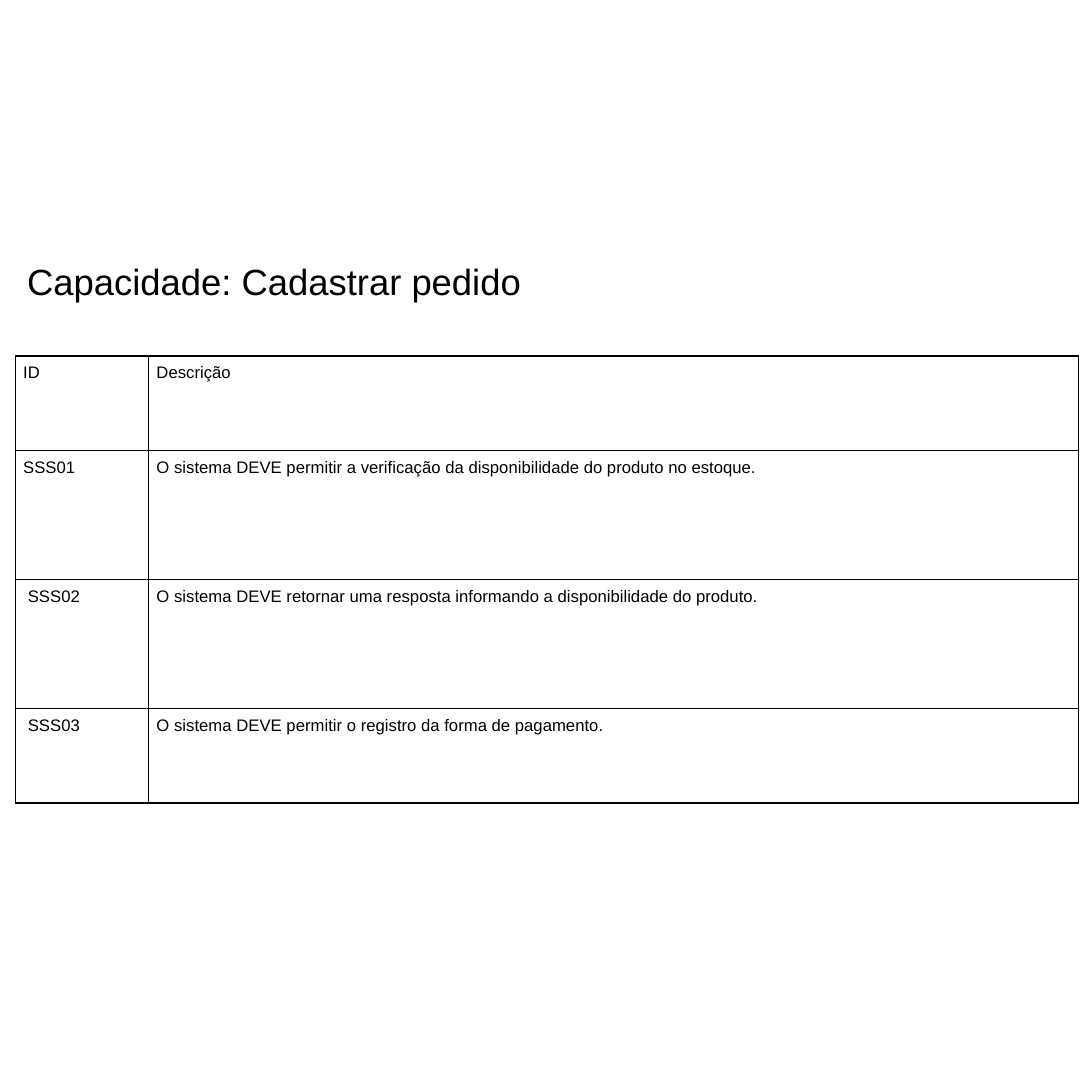
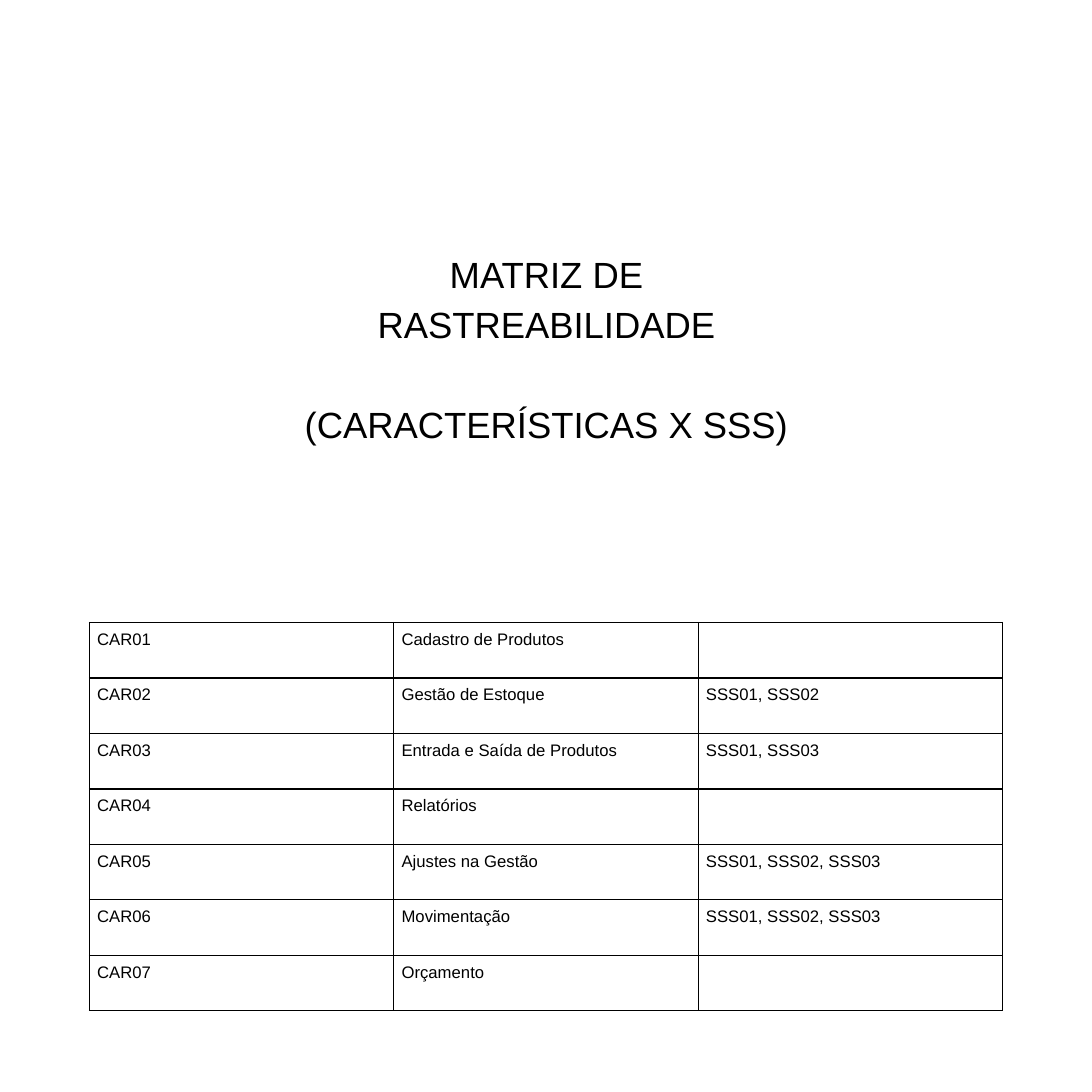
from lxml.etree import SubElement
from pptx import Presentation
from pptx.dml.color import RGBColor
from pptx.enum.text import MSO_ANCHOR, MSO_AUTO_SIZE, PP_ALIGN
from pptx.oxml.ns import qn
from pptx.util import Cm, Pt

COLORS = {"text": "000000", "border": "000000"}
FONT = "Arial"
TITLE_SIZE, CELL_SIZE = 24, 11
TITLE_INSET, CELL_INSET = 0.25, 0.18  # cm

REQUIREMENTS = [
    ("ID", "Descrição"),
    ("SSS01", "O sistema DEVE permitir a verificação da disponibilidade do produto no estoque."),
    (" SSS02", "O sistema DEVE retornar uma resposta informando a disponibilidade do produto."),
    (" SSS03", "O sistema DEVE permitir o registro da forma de pagamento."),
]
TRACEABILITY = [
    ("CAR01", "Cadastro de Produtos", ""),
    ("CAR02", "Gestão de Estoque", "SSS01, SSS02"),
    ("CAR03", "Entrada e Saída de Produtos", "SSS01, SSS03"),
    ("CAR04", "Relatórios", ""),
    ("CAR05", "Ajustes na Gestão", "SSS01, SSS02, SSS03"),
    ("CAR06", "Movimentação", "SSS01, SSS02, SSS03"),
    ("CAR07", "Orçamento", ""),
]


def write(p, text, size, align=PP_ALIGN.LEFT, line=1.0, before=0, after=0):
    p.alignment, p.line_spacing = align, line
    p.space_before, p.space_after = Pt(before), Pt(after)
    r = p.add_run()
    r.text = text
    r.font.name, r.font.size = FONT, Pt(size)
    r.font.color.rgb = RGBColor.from_string(COLORS["text"])


def set_insets(target, inset):
    target.margin_left = target.margin_right = Cm(inset)
    target.margin_top = target.margin_bottom = Cm(inset)


def place_title(s, box, anchor):
    """Move the title placeholder to box and return its text frame."""
    sp = s.shapes.title
    sp.left, sp.top, sp.width, sp.height = map(Cm, box)
    tf = sp.text_frame
    tf.word_wrap, tf.auto_size = True, MSO_AUTO_SIZE.NONE
    tf.vertical_anchor = anchor
    set_insets(tf, TITLE_INSET)
    return tf


def set_borders(cell, width=1):
    tc_pr = cell._tc.get_or_add_tcPr()
    for i, side in enumerate(("lnL", "lnR", "lnT", "lnB")):
        ln = SubElement(tc_pr, qn(f"a:{side}"), w=str(Pt(width)))
        fill = SubElement(ln, qn("a:solidFill"))
        SubElement(fill, qn("a:srgbClr"), val=COLORS["border"])
        tc_pr.insert(i, ln)  # borders precede the cell fill


def add_grid(s, left, top, col_widths, row_heights, rows):
    """Add a plain bordered table; lengths in cm."""
    size = (sum(col_widths), sum(row_heights))
    table = s.shapes.add_table(len(rows), len(col_widths),
                               *map(Cm, (left, top, *size))).table
    table.first_row = table.horz_banding = False
    for col, width in zip(table.columns, col_widths):
        col.width = Cm(width)
    for row, height, texts in zip(table.rows, row_heights, rows):
        row.height = Cm(height)
        for cell, text in zip(row.cells, texts):
            cell.fill.background()
            set_borders(cell)
            set_insets(cell, CELL_INSET)
            if text:
                write(cell.text_frame.paragraphs[0], text, CELL_SIZE)


def capability_slide(s):
    tf = place_title(s, (0.38, 5.77, 18.29, 8.33), MSO_ANCHOR.TOP)
    write(tf.paragraphs[0], "Capacidade: Cadastrar pedido", TITLE_SIZE, after=8)
    add_grid(s, 0.36, 8.28, (3.1, 21.62), (2.2, 3, 3, 2.2), REQUIREMENTS)


def matrix_slide(s):
    tf = place_title(s, (6.55, 2.16, 12.32, 12.32), MSO_ANCHOR.MIDDLE)
    tf.margin_bottom = Cm(0.8)  # lifts the centred heading slightly
    heading = {"size": TITLE_SIZE, "align": PP_ALIGN.CENTER, "line": 1.15}
    write(tf.paragraphs[0], "MATRIZ DE RASTREABILIDADE", **heading)
    write(tf.add_paragraph(), "(CARACTERÍSTICAS X SSS)", before=33, **heading)
    add_grid(s, 2.08, 14.48, [7.08] * 3, [1.29] * len(TRACEABILITY), TRACEABILITY)


def main():
    prs = Presentation()
    prs.slide_width = prs.slide_height = Cm(25.4)
    title_only = prs.slide_layouts[5]
    for build in (capability_slide, matrix_slide):
        build(prs.slides.add_slide(title_only))
    prs.save("out.pptx")


if __name__ == "__main__":
    main()
